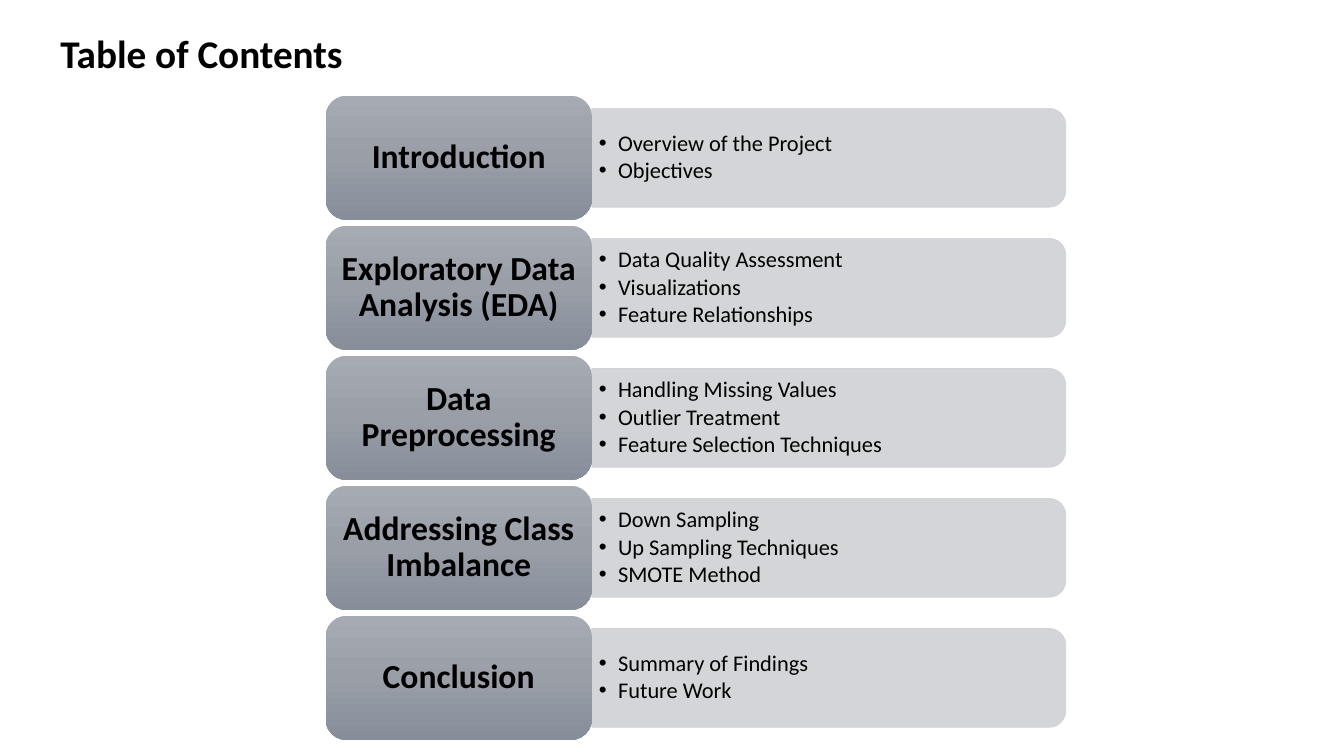
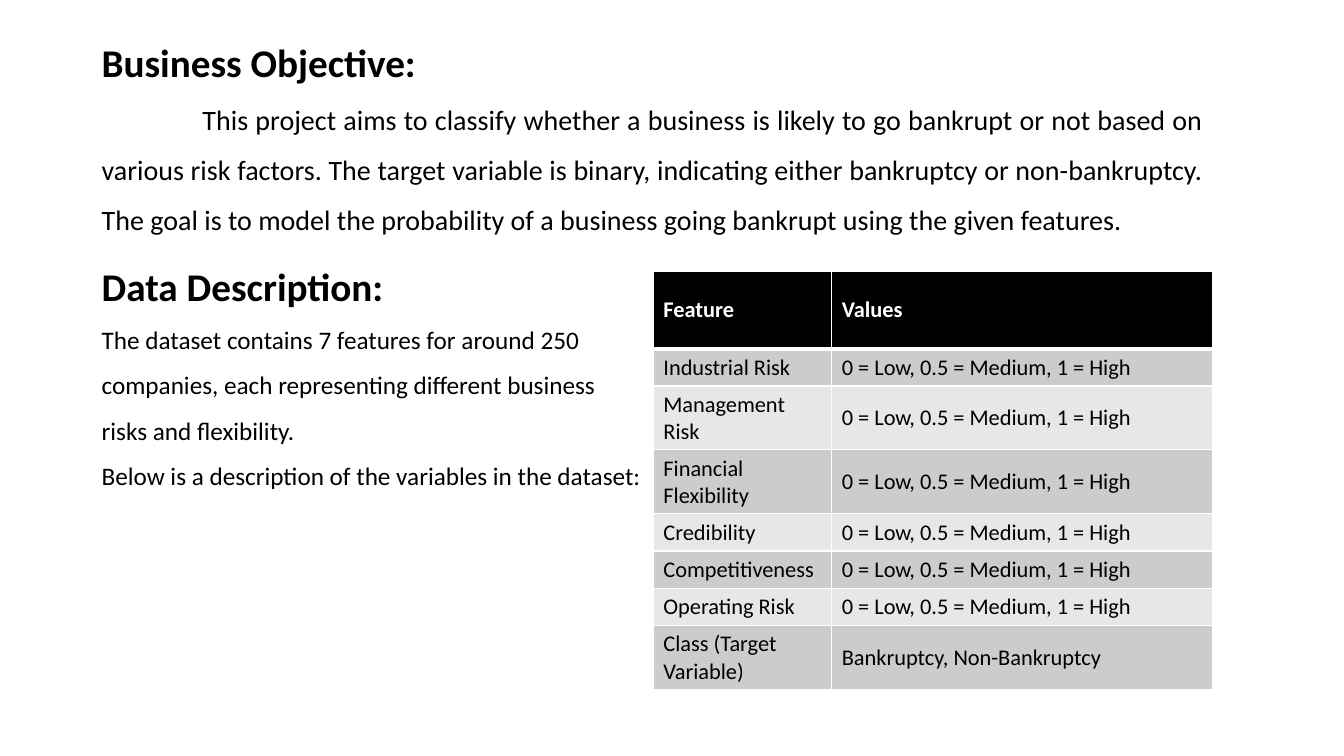
from copy import deepcopy
from dataclasses import dataclass

from lxml import etree
from pptx import Presentation
from pptx.dml.color import RGBColor
from pptx.enum.shapes import MSO_SHAPE
from pptx.enum.text import MSO_ANCHOR, PP_ALIGN
from pptx.oxml.ns import qn
from pptx.util import Inches, Pt

ROUND = MSO_SHAPE.ROUNDED_RECTANGLE
TAB = MSO_SHAPE.ROUND_2_SAME_RECTANGLE
MIDDLE = MSO_ANCHOR.MIDDLE
LEFT, CENTER, JUSTIFY = PP_ALIGN.LEFT, PP_ALIGN.CENTER, PP_ALIGN.JUSTIFY


@dataclass(frozen=True)
class Theme:
    font: str = "Calibri"
    black: str = "000000"
    white: str = "FFFFFF"
    bar: str = "CFD1D4"
    bar_alpha: int = 90
    shades: tuple = ("A5AAB3", "999EA7", "878E9A")
    bands: tuple = ("CCCCCC", "E7E7E7")
    title: int = 28
    label: int = 24
    lead: int = 20
    body: int = 18
    small: int = 16


@dataclass(frozen=True)
class Topic:
    name: str
    points: tuple


@dataclass(frozen=True)
class Para:
    text: str
    size: int
    bold: bool = False
    align: PP_ALIGN = LEFT
    spacing: float = 1.0
    indent: float = 0.0


THEME = Theme()

TOPICS = (
    Topic("Introduction", ("Overview of the Project", "Objectives")),
    Topic("Exploratory Data Analysis (EDA)",
          ("Data Quality Assessment", "Visualizations", "Feature Relationships")),
    Topic("Data Preprocessing",
          ("Handling Missing Values", "Outlier Treatment", "Feature Selection Techniques")),
    Topic("Addressing Class Imbalance",
          ("Down Sampling", "Up Sampling Techniques", "SMOTE Method")),
    Topic("Conclusion", ("Summary of Findings", "Future Work")),
)

LEVELS = "0 = Low, 0.5 = Medium, 1 = High"
RISKS = ("Industrial Risk", "Management Risk", "Financial Flexibility",
         "Credibility", "Competitiveness", "Operating Risk")
ROWS = (("Feature", "Values"), *((risk, LEVELS) for risk in RISKS),
        ("Class (Target Variable)", "Bankruptcy, Non-Bankruptcy"))


def rgb(code: str) -> RGBColor:
    return RGBColor.from_string(code)


def style(para, size: int, bold: bool = False, color: str = THEME.black) -> None:
    font = para.font
    font.name, font.size, font.bold = THEME.font, Pt(size), bold
    font.color.rgb = rgb(color)


def add_text(slide, left: float, top: float, width: float, height: float, paras):
    box = slide.shapes.add_textbox(Inches(left), Inches(top), Inches(width), Inches(height))
    frame = box.text_frame
    frame.word_wrap = True
    for i, item in enumerate(paras):
        para = frame.paragraphs[0] if i == 0 else frame.add_paragraph()
        para.text, para.alignment = item.text, item.align
        para.line_spacing = item.spacing
        if item.indent:
            para._p.get_or_add_pPr().set("indent", str(Inches(item.indent)))
        style(para, item.size, item.bold)
    return frame


def heading(text: str) -> Para:
    return Para(text, THEME.title, bold=True)


def add_shape(slide, kind, left: float, top: float, width: float, height: float):
    shape = slide.shapes.add_shape(kind, Inches(left), Inches(top), Inches(width), Inches(height))
    shape.shadow.inherit = False
    return shape


def add_bar(slide, left: float, mid: float, length: float, depth: float) -> None:
    """Draw a bar with rounded right corners: an upright tab turned a quarter."""
    bar = add_shape(slide, TAB, left + (length - depth) / 2, mid - length / 2, depth, length)
    bar.rotation = 90
    bar.fill.solid()
    bar.fill.fore_color.rgb = rgb(THEME.bar)
    bar.line.color.rgb = rgb(THEME.bar)
    bar.line.width = Pt(0.5)
    for color in bar._element.spPr.iter(qn("a:srgbClr")):
        etree.SubElement(color, qn("a:alpha"), val=str(THEME.bar_alpha * 1000))


def add_label(slide, text: str, left: float, top: float, width: float, height: float) -> None:
    label = add_shape(slide, ROUND, left, top, width, height)
    label.line.fill.background()
    fill = label.fill
    fill.gradient()
    fill.gradient_angle = 270
    first = label._element.spPr.find(".//" + qn("a:gs"))
    first.addnext(deepcopy(first))
    for i, (stop, shade) in enumerate(zip(fill.gradient_stops, THEME.shades)):
        stop.position = i / 2
        stop.color.rgb = rgb(shade)
    frame = label.text_frame
    frame.word_wrap, frame.vertical_anchor = True, MIDDLE
    para = frame.paragraphs[0]
    para.text, para.alignment, para.line_spacing = text, CENTER, 0.9
    style(para, THEME.label, bold=True)


def add_points(slide, points, left: float, top: float, width: float, height: float) -> None:
    paras = [Para(point, THEME.small, spacing=0.9, indent=-0.19) for point in points]
    frame = add_text(slide, left, top, width, height, paras)
    frame.vertical_anchor = MIDDLE
    frame.margin_left = frame.margin_right = Inches(0.07)
    frame.margin_top = frame.margin_bottom = Inches(0.03)
    for para in frame.paragraphs:
        para.space_after = Pt(0.15 * THEME.small)
        props = para._p.get_or_add_pPr()
        props.set("marL", str(Inches(0.19)))
        etree.SubElement(props, qn("a:buFont"), typeface="Arial")
        etree.SubElement(props, qn("a:buChar"), char="•")
        props.append(props.find(qn("a:defRPr")))


def add_edges(cell, base: int) -> None:
    """Give a cell white edges; base is the width of the lower one in points."""
    props = cell._tc.get_or_add_tcPr()
    for i, side in enumerate("LRTB"):
        width = base if side == "B" else 1
        edge = etree.Element(qn("a:ln" + side), w=str(Pt(width)))
        fill = etree.SubElement(edge, qn("a:solidFill"))
        etree.SubElement(fill, qn("a:srgbClr"), val=THEME.white)
        props.insert(i, edge)


def add_grid(slide, left: float, top: float, widths, head: float, body: float) -> None:
    height = head + body * (len(ROWS) - 1)
    table = slide.shapes.add_table(len(ROWS), len(widths), Inches(left), Inches(top),
                                   Inches(sum(widths)), Inches(height)).table
    for col, width in zip(table.columns, widths):
        col.width = Inches(width)
    for i, texts in enumerate(ROWS):
        is_head = i == 0
        table.rows[i].height = Inches(head if is_head else body)
        for j, text in enumerate(texts):
            cell = table.cell(i, j)
            cell.text, cell.vertical_anchor = text, MIDDLE
            cell.fill.solid()
            cell.fill.fore_color.rgb = rgb(THEME.black if is_head else THEME.bands[(i - 1) % 2])
            color = THEME.white if is_head else THEME.black
            style(cell.text_frame.paragraphs[0], THEME.small, is_head, color)
            add_edges(cell, 3 if is_head else 1)


def draw_contents(slide) -> None:
    left, top, width, height, pitch = 3.23, 0.95, 2.64, 1.23, 1.29
    right = left + width
    for i, topic in enumerate(TOPICS):
        y = top + i * pitch
        mid = y + height / 2
        add_bar(slide, right, mid, 4.7, 0.98)
        add_points(slide, topic.points, right, mid - 0.445, 4.65, 0.89)
        add_label(slide, topic.name, left, y, width, height)
    add_text(slide, 0.5, 0.24, 4.13, 0.57, [heading("Table of Contents")])


def draw_goal(slide) -> None:
    left = 0.91
    add_text(slide, left, 0.33, 11.12, 2.03, [
        heading("Business Objective:"),
        Para("This project aims to classify whether a business is likely to go bankrupt or not "
             "based on various risk factors. The target variable is binary, indicating either "
             "bankruptcy or non-bankruptcy. The goal is to model the probability of a business "
             "going bankrupt using the given features.",
             THEME.lead, align=JUSTIFY, spacing=1.5, indent=1),
    ])
    add_text(slide, left, 2.55, 5.55, 2.5, [
        heading("Data Description:"),
        Para("The dataset contains 7 features for around 250 companies, each representing "
             "different business risks and flexibility.", THEME.body, spacing=1.5),
        Para("Below is a description of the variables in the dataset:", THEME.body, spacing=1.5),
    ])
    add_grid(slide, 6.48, 2.69, (1.77, 3.78), 0.77, 0.37)


def main() -> None:
    deck = Presentation()
    deck.slide_width, deck.slide_height = Inches(13.33), Inches(7.5)
    blank = deck.slide_layouts[6]
    for draw in (draw_contents, draw_goal):
        draw(deck.slides.add_slide(blank))
    deck.save("out.pptx")


if __name__ == "__main__":
    main()
